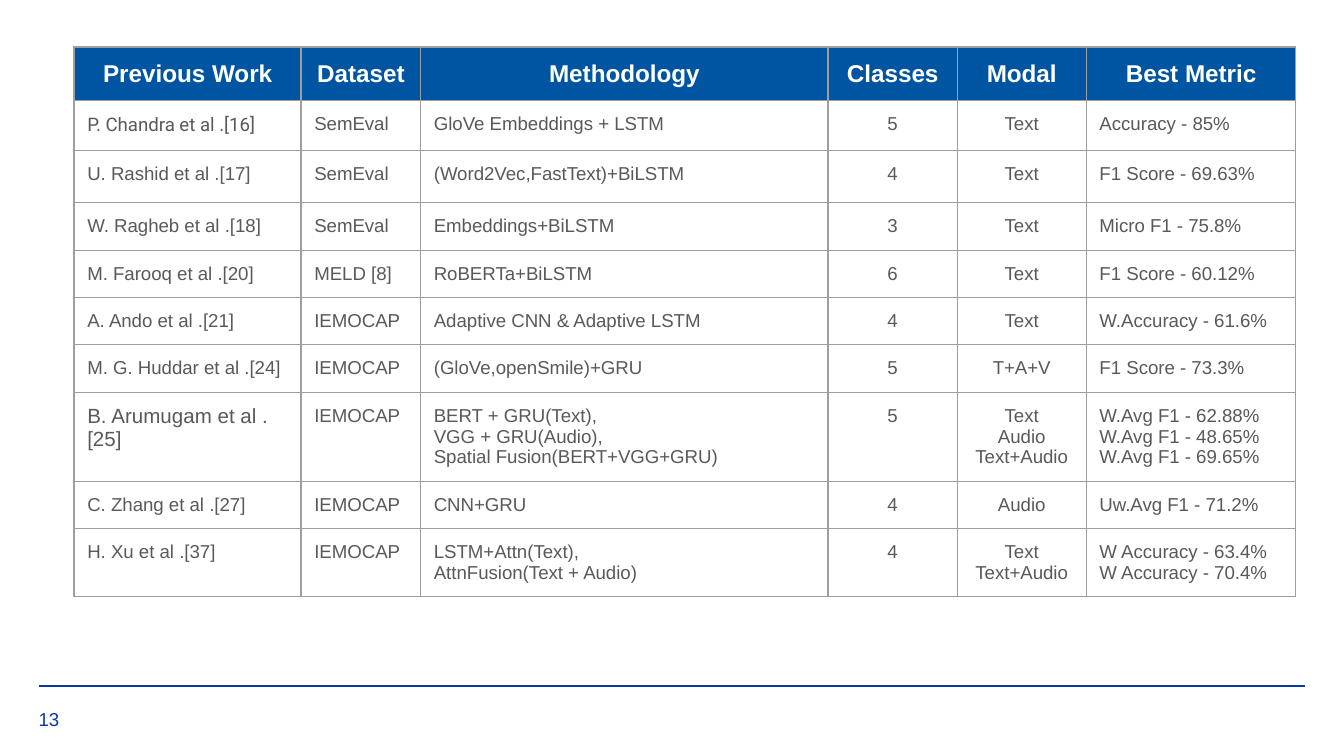
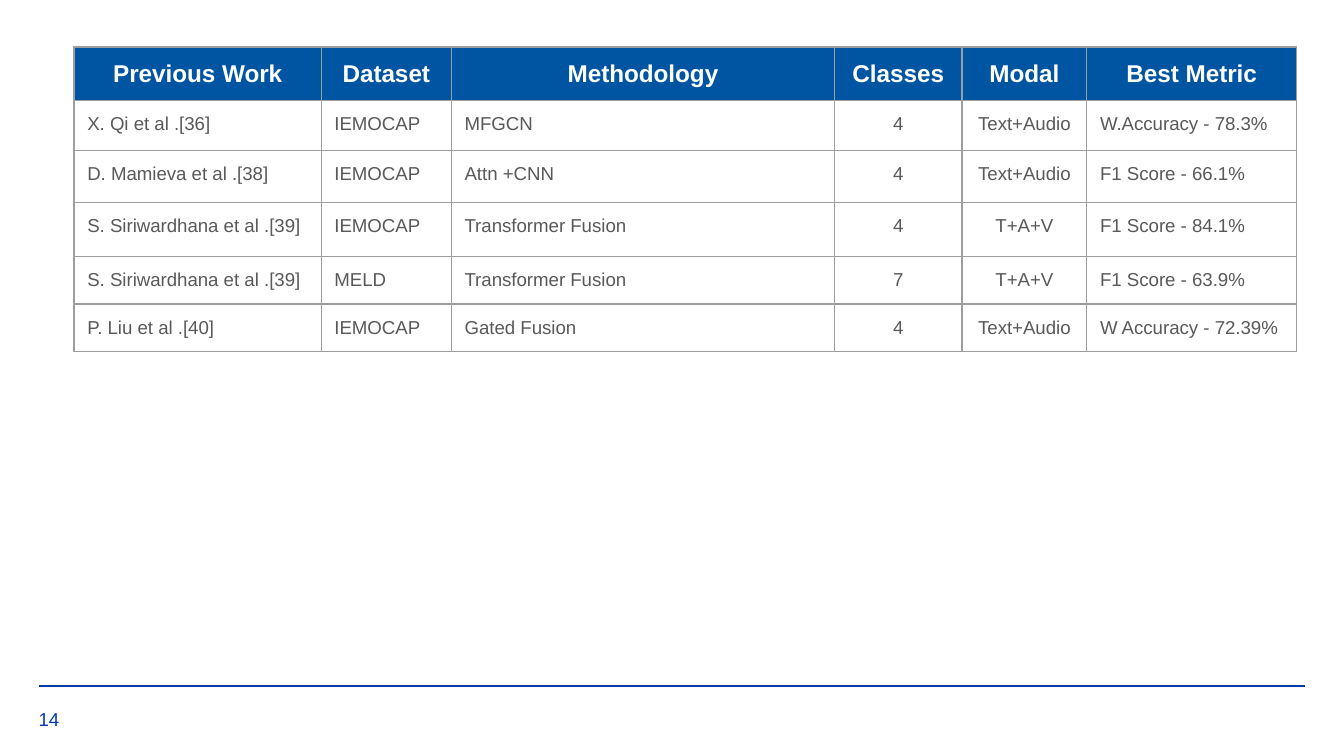
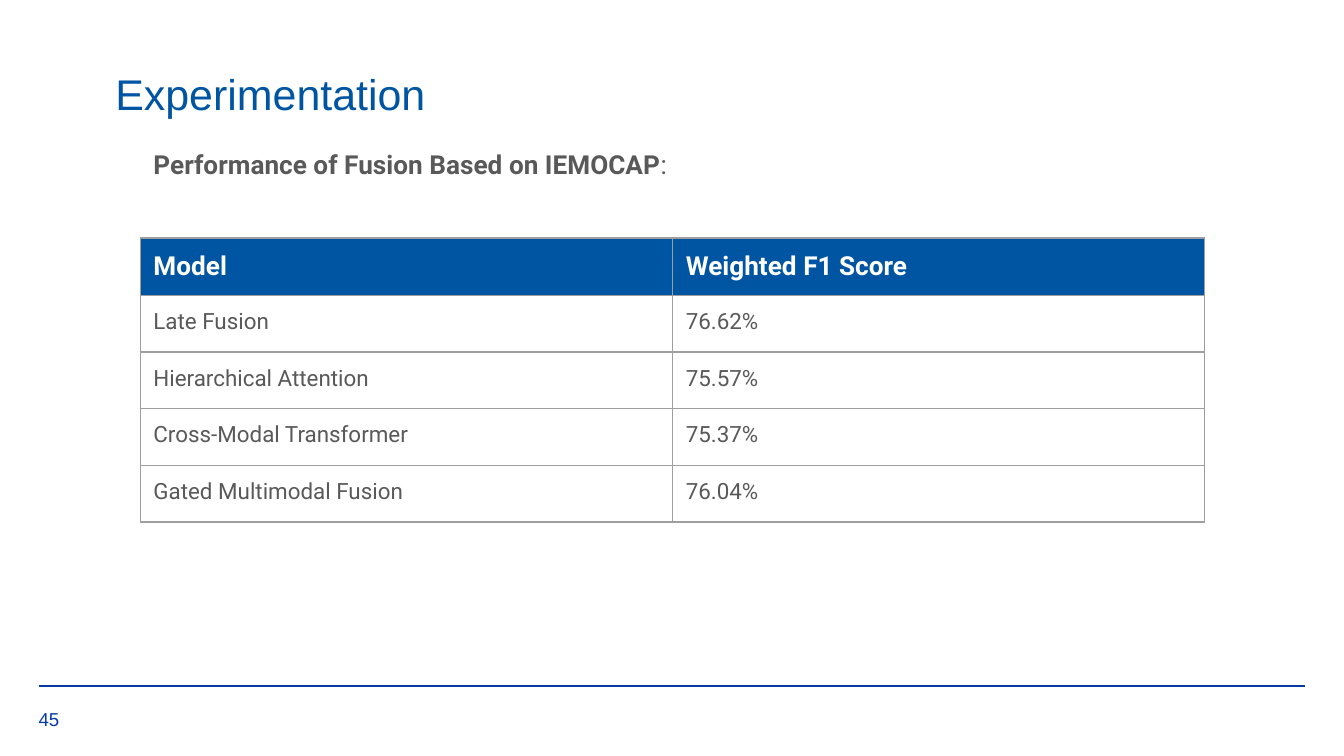
"""Build three slides: two tables of previous work and one table of fusion results."""
from lxml import etree
from pptx import Presentation
from pptx.dml.color import RGBColor
from pptx.enum.shapes import MSO_CONNECTOR
from pptx.enum.text import MSO_ANCHOR, PP_ALIGN
from pptx.oxml import parse_xml
from pptx.oxml.ns import nsdecls, qn
from pptx.util import Cm, Pt

LEFT, CENTER = PP_ALIGN.LEFT, PP_ALIGN.CENTER
TOP, MIDDLE = MSO_ANCHOR.TOP, MSO_ANCHOR.MIDDLE
STRAIGHT = MSO_CONNECTOR.STRAIGHT

BLUE = RGBColor(0x00, 0x55, 0xA2)
FOOTER_BLUE = RGBColor(0x06, 0x38, 0xA8)
GRAY = RGBColor(0x59, 0x59, 0x59)
BORDER_GRAY = RGBColor(0x9E, 0x9E, 0x9E)
WHITE = RGBColor(0xFF, 0xFF, 0xFF)

INSET = Cm(0.25)
MARGINS = dict.fromkeys(("margin_left", "margin_right", "margin_top", "margin_bottom"), INSET)

TITLE = {"name": "Arial", "size": Pt(23), "bold": False}
SUBTITLE = {"name": "Roboto", "size": Pt(14), "bold": True}
WORK_HEAD = {"name": "Arial", "size": Pt(13), "bold": True}
WORK_BODY = {"name": "Arial", "size": Pt(10), "bold": False}
FUSION_BODY = {"name": "Roboto", "size": Pt(12), "bold": False}

WORK_COLUMNS = ("Previous Work", "Dataset", "Methodology", "Classes", "Modal", "Best Metric")
WORK_ALIGN = (LEFT, LEFT, LEFT, CENTER, CENTER, LEFT)

TABLES = [
    {
        "number": "13", "left": 1.4, "top": 0.89,
        "widths": (4.29, 2.26, 7.7, 2.44, 2.44, 3.96),
        "heights": (0.69, 0.94, 0.99, 0.71, 0.69, 0.84, 0.89, 1.5, 0.46, 0.53),
        "head": WORK_HEAD, "body": WORK_BODY, "head_align": CENTER, "align": WORK_ALIGN,
        "special": {(1, 0): {"name": "Roboto"}, (7, 0): {"size": Pt(11)}},
        "rows": [
            WORK_COLUMNS,
            ("P. Chandra et al .[16]", "SemEval", "GloVe Embeddings + LSTM", "5", "Text", "Accuracy - 85%"),
            ("U. Rashid et al .[17]", "SemEval", "(Word2Vec,FastText)+BiLSTM", "4", "Text", "F1 Score - 69.63%"),
            ("W. Ragheb et al .[18]", "SemEval", "Embeddings+BiLSTM", "3", "Text", "Micro F1 - 75.8%"),
            ("M. Farooq et al .[20]", "MELD [8]", "RoBERTa+BiLSTM", "6", "Text", "F1 Score - 60.12%"),
            ("A. Ando et al .[21]", "IEMOCAP", "Adaptive CNN & Adaptive LSTM", "4", "Text", "W.Accuracy - 61.6%"),
            ("M. G. Huddar et al .[24]", "IEMOCAP", "(GloVe,openSmile)+GRU", "5", "T+A+V", "F1 Score - 73.3%"),
            ("B. Arumugam et al .[25]", "IEMOCAP",
             "BERT + GRU(Text),\nVGG + GRU(Audio),\nSpatial Fusion(BERT+VGG+GRU)", "5",
             "Text\nAudio\nText+Audio", "W.Avg F1 - 62.88%\nW.Avg F1 - 48.65%\nW.Avg F1 - 69.65%"),
            ("C. Zhang et al .[27]", "IEMOCAP", "CNN+GRU", "4", "Audio", "Uw.Avg F1 - 71.2%"),
            ("H. Xu et al .[37]", "IEMOCAP", "LSTM+Attn(Text),\nAttnFusion(Text + Audio)", "4",
             "Text\nText+Audio", "W Accuracy - 63.4%\nW Accuracy - 70.4%"),
        ],
    },
    {
        "number": "14", "left": 1.4, "top": 0.89,
        "widths": (4.67, 2.46, 7.24, 2.41, 2.36, 3.96),
        "heights": (0.69, 0.94, 0.99, 1.02, 0.89, 0.53),
        "head": WORK_HEAD, "body": WORK_BODY, "head_align": CENTER, "align": WORK_ALIGN,
        "special": {},
        "rows": [
            WORK_COLUMNS,
            ("X. Qi et al .[36]", "IEMOCAP", "MFGCN", "4", "Text+Audio", "W.Accuracy - 78.3%"),
            ("D. Mamieva et al .[38]", "IEMOCAP", "Attn +CNN", "4", "Text+Audio", "F1 Score - 66.1%"),
            ("S. Siriwardhana et al .[39]", "IEMOCAP", "Transformer Fusion", "4", "T+A+V", "F1 Score - 84.1%"),
            ("S. Siriwardhana et al .[39]", "MELD", "Transformer Fusion", "7", "T+A+V", "F1 Score - 63.9%"),
            ("P. Liu et al .[40]", "IEMOCAP", "Gated Fusion", "4", "Text+Audio", "W Accuracy - 72.39%"),
        ],
    },
    {
        "number": "45", "left": 2.65, "top": 4.5,
        "widths": (10.06,) * 2, "heights": (1.07,) * 5,
        "head": SUBTITLE, "body": FUSION_BODY, "head_align": LEFT, "align": (LEFT, LEFT),
        "special": {},
        "rows": [
            ("Model", "Weighted F1 Score"),
            ("Late Fusion", "76.62%"),
            ("Hierarchical Attention", "75.57%"),
            ("Cross-Modal Transformer", "75.37%"),
            ("Gated Multimodal Fusion", "76.04%"),
        ],
    },
]


def write(frame, text, look, color, align=LEFT):
    """Fill a text frame, one paragraph a line, in one format."""
    frame.text = text
    for para in frame.paragraphs:
        para.alignment = align
        for span in para.runs:
            span.font.color.rgb = color
            for name, value in look.items():
                setattr(span.font, name, value)


def add_text(page, place, text, look, color, anchor=TOP):
    """Add a wrapped text box and return its text frame."""
    frame = page.shapes.add_textbox(*map(Cm, place)).text_frame
    frame.word_wrap = True
    frame.vertical_anchor = anchor
    for name, value in MARGINS.items():
        setattr(frame, name, value)
    write(frame, text, look, color)
    return frame


deck = Presentation()
deck.slide_width, deck.slide_height = Cm(25.4), Cm(14.29)

for content in TABLES:
    page = deck.slides.add_slide(deck.slide_layouts[6])
    rule = page.shapes.add_connector(STRAIGHT, Cm(0.73), Cm(12.97), Cm(24.67), Cm(12.97))
    rule.line.color.rgb = FOOTER_BLUE
    rule.line.width = Pt(0.75)
    etree.SubElement(rule._element.spPr, qn("a:effectLst"))

    widths, heights, rows = content["widths"], content["heights"], content["rows"]
    table = page.shapes.add_table(
        len(rows), len(widths), Cm(content["left"]), Cm(content["top"]), Cm(sum(widths)), Cm(sum(heights))
    ).table
    table.first_row = table.horz_banding = False
    for column, width in zip(table.columns, widths):
        column.width = Cm(width)
    for row, height in zip(table.rows, heights):
        row.height = Cm(height)

    for row_index, texts in enumerate(rows):
        for column_index, text in enumerate(texts):
            cell = table.cell(row_index, column_index)
            for name, value in MARGINS.items():
                setattr(cell, name, value)
            properties = cell._tc.get_or_add_tcPr()
            for side in ("lnL", "lnR", "lnT", "lnB"):
                properties.append(parse_xml(
                    f'<a:{side} {nsdecls("a")} w="{Pt(0.75)}"><a:solidFill>'
                    f'<a:srgbClr val="{BORDER_GRAY}"/></a:solidFill></a:{side}>'
                ))
            if row_index == 0:
                cell.fill.solid()
                cell.fill.fore_color.rgb = BLUE
                write(cell.text_frame, text, content["head"], WHITE, content["head_align"])
            else:
                cell.fill.background()
                look = {**content["body"], **content["special"].get((row_index, column_index), {})}
                write(cell.text_frame, text, look, GRAY, content["align"][column_index])

    add_text(page, (0.48, 13.13, 1.24, 0.94), content["number"], WORK_BODY, FOOTER_BLUE, MIDDLE)

add_text(page, (1.93, 1.02, 19.81, 1.32), "Experimentation", TITLE, BLUE)
subtitle = add_text(page, (2.65, 2.46, 20.04, 1.68), "Performance of Fusion Based on IEMOCAP:", SUBTITLE, GRAY)
para = subtitle.paragraphs[0]
para.line_spacing = 1.15
para.runs[0].text = "Performance of Fusion Based on IEMOCAP"
colon = para.add_run()
colon.text = ":"
colon.font.color.rgb = GRAY
for name, value in {**SUBTITLE, "bold": False}.items():
    setattr(colon.font, name, value)

deck.save("out.pptx")
